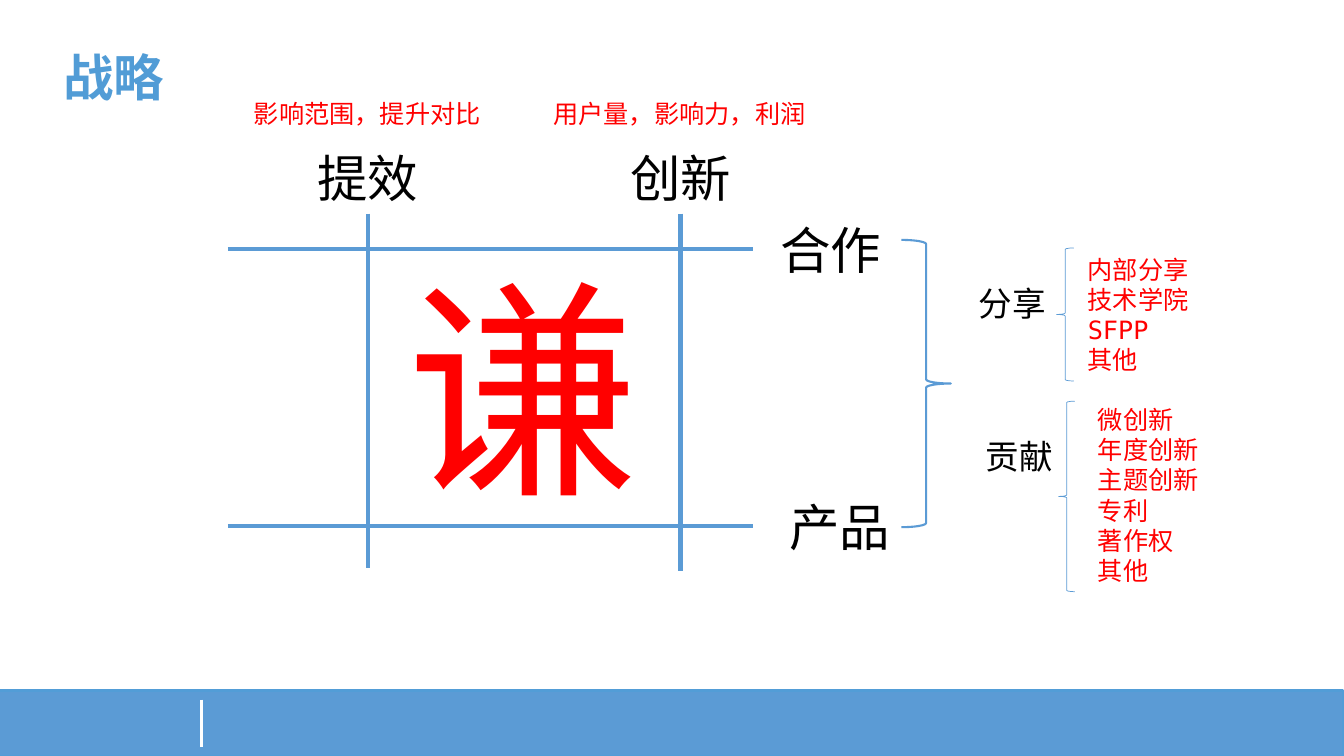
from lxml import etree
from pptx import Presentation
from pptx.dml.color import RGBColor
from pptx.enum.lang import MSO_LANGUAGE_ID
from pptx.enum.shapes import MSO_CONNECTOR, MSO_SHAPE
from pptx.enum.text import MSO_AUTO_SIZE, PP_ALIGN
from pptx.oxml.ns import qn
from pptx.util import Pt

PX = 9144
BLUE = RGBColor(0x5B, 0x9B, 0xD5)
EDGE = RGBColor(0x52, 0x9D, 0xD7)
TITLE = RGBColor(0x51, 0x9C, 0xD6)
RED = RGBColor(0xFF, 0, 0)
BLACK = RGBColor(0, 0, 0)
WHITE = RGBColor(0xFF, 0xFF, 0xFF)
MONO = "DejaVu Sans Mono"
SANS = "Noto Sans CJK SC"
RECT = MSO_SHAPE.RECTANGLE
LEFT_BRACE = MSO_SHAPE.LEFT_BRACE
RIGHT_BRACE = MSO_SHAPE.RIGHT_BRACE
STRAIGHT = MSO_CONNECTOR.STRAIGHT
GROW = MSO_AUTO_SIZE.SHAPE_TO_FIT_TEXT
CHINESE = MSO_LANGUAGE_ID.SIMPLIFIED_CHINESE
JUSTIFY = PP_ALIGN.JUSTIFY


def emu(*sizes):
    """Turn px lengths into EMU."""
    return [size * PX for size in sizes]


def add_text(shapes, box, words, size, color, face=MONO, wrap=False):
    """Add a text box with one paragraph per line of words."""
    frame = shapes.add_textbox(*emu(*box)).text_frame
    frame.text = words
    frame.word_wrap = wrap
    frame.auto_size = GROW
    for para in frame.paragraphs:
        for run in para.runs:
            font = run.font
            font.size = Pt(size)
            font.name = face
            font.color.rgb = color
            font.language_id = CHINESE
            props = run._r.get_or_add_rPr()
            etree.SubElement(props, qn("a:ea"), typeface=face)
    return frame


def add_line(shapes, ends, color, width):
    """Add a straight line without a shadow."""
    line = shapes.add_connector(STRAIGHT, *emu(*ends))
    line.line.color.rgb = color
    line.line.width = Pt(width)
    etree.SubElement(line._element.spPr, qn("a:effectLst"))


def add_form(shapes, kind, box, width, edge=BLUE, fill=None):
    """Add an outlined preset shape, filled if a colour is given."""
    form = shapes.add_shape(kind, *emu(*box))
    form.shadow.inherit = False
    form.line.color.rgb = edge
    form.line.width = Pt(width)
    if fill is None:
        form.fill.background()
    else:
        form.fill.solid()
        form.fill.fore_color.rgb = fill


def add_list(shapes, brace, box, items):
    """Add a group of a left brace and its red list."""
    group = shapes.add_group_shape().shapes
    add_form(group, LEFT_BRACE, brace, 0.5)
    add_text(group, box, "\n".join(items), 18, RED)


def main():
    """Build the strategy slide."""
    deck = Presentation()
    deck.slide_width, deck.slide_height = emu(1333, 750)
    shapes = deck.slides.add_slide(deck.slide_layouts[6]).shapes

    add_form(shapes, RECT, (-1, 685, 1333, 65), 1.5, EDGE, BLUE)
    add_line(shapes, (200, 694, 200, 741), WHITE, 2.25)
    title = add_text(shapes, (53, 41, 151, 71), "战略", 36, TITLE, SANS, True)
    title.paragraphs[0].alignment = JUSTIFY
    title.paragraphs[0].runs[0].font.bold = True

    add_text(shapes, (393, 238, 253, 289), "谦", 166, RED)
    for y in (247, 522):
        add_line(shapes, (226, y, 747, y), BLUE, 3)
    for x, end in ((365, 564), (675, 566)):
        add_line(shapes, (x, 212, x, end), BLUE, 3)

    for x, y, word in (
        (305, 141, "提效"),
        (615, 141, "创新"),
        (764, 212, "合作"),
        (773, 487, "产品"),
    ):
        add_text(shapes, (x, y, 121, 71), word, 36, BLACK)
    for x, wide, note in (
        (242, 247, "影响范围，提升对比"),
        (539, 273, "用户量，影响力，利润"),
    ):
        add_text(shapes, (x, 93, wide, 40), note, 18, RED)
    for x, y, word in ((961, 276, "分享"), (968, 428, "贡献")):
        add_text(shapes, (x, y, 88, 50), word, 24, BLACK)

    add_form(shapes, RIGHT_BRACE, (894, 238, 49, 285), 1.5)
    add_list(shapes, (1048, 246, 17, 132), (1069, 247, 121, 131),
             ("内部分享", "技术学院", "SFPP", "其他"))
    add_list(shapes, (1050, 398, 16, 189), (1079, 396, 121, 192),
             ("微创新", "年度创新", "主题创新", "专利", "著作权", "其他"))
    deck.save("out.pptx")


if __name__ == "__main__":
    main()
